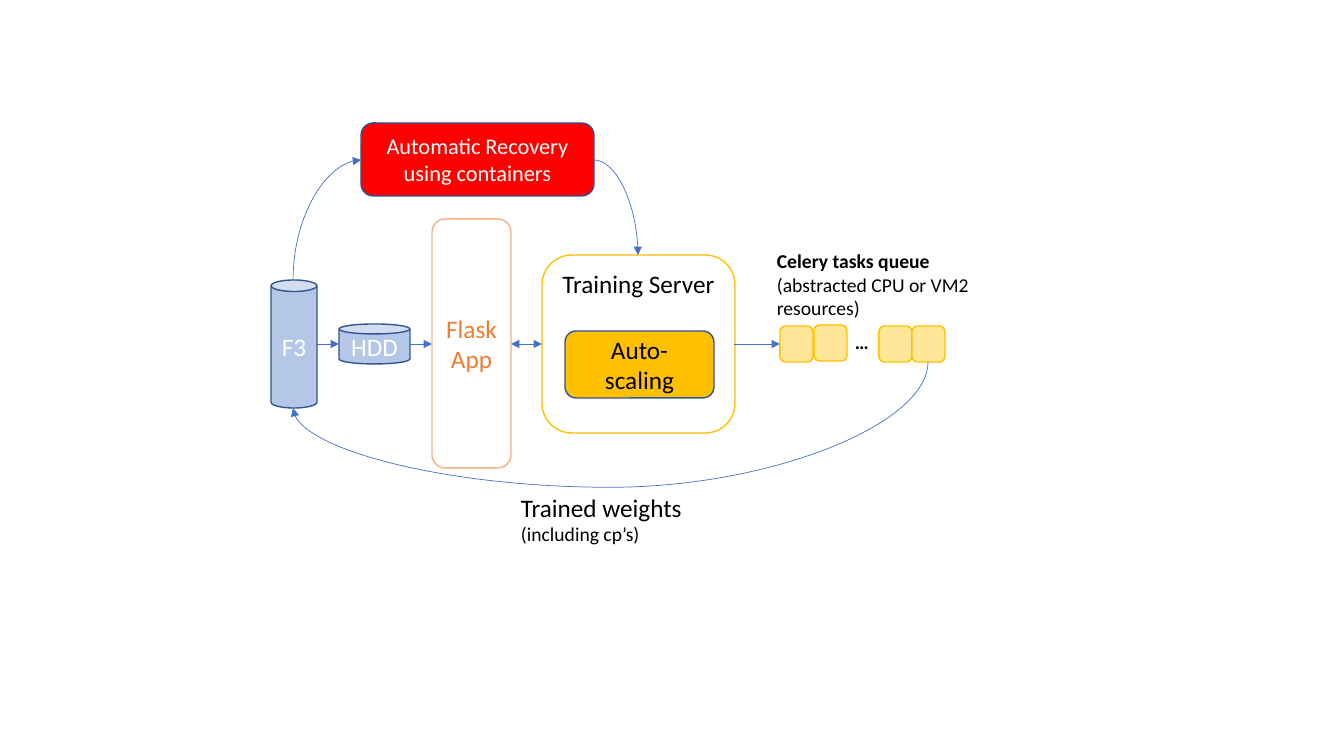
from dataclasses import dataclass

from lxml import etree
from pptx import Presentation
from pptx.dml.color import RGBColor
from pptx.enum.shapes import MSO_CONNECTOR, MSO_SHAPE
from pptx.enum.text import MSO_ANCHOR, PP_ALIGN
from pptx.oxml.ns import qn
from pptx.util import Pt

ROUND, CAN = MSO_SHAPE.ROUNDED_RECTANGLE, MSO_SHAPE.CAN
LINE, CURVE = MSO_CONNECTOR.STRAIGHT, MSO_CONNECTOR.CURVE
TOP, MID = MSO_ANCHOR.TOP, MSO_ANCHOR.MIDDLE
LEFT, CENTER = PP_ALIGN.LEFT, PP_ALIGN.CENTER

FONT = "Calibri"
WHITE, BLACK, RED = "FFFFFF", "000000", "FF0000"
GOLD, CREAM, ORANGE, PEACH = "FFC000", "FFE699", "ED7D31", "F4B183"
BLUE, NAVY, PALE = "4472C4", "325491", "B4C7E7"
AXIS = 344  # height of the main flow


@dataclass
class Box:
    at: tuple[int, int, int, int]
    fill: str
    edge: str
    text: str = ""
    ink: str = WHITE
    size: int = 18
    kind: int = ROUND
    anchor: int = MID


@dataclass
class Arrow:
    start: tuple[int, int]
    end: tuple[int, int]
    both: bool = False
    bend: str = ""  # preset name of a curve
    turn: bool = False  # leaves its start vertically
    adj: int = 0


def emu(px: float) -> int:
    return round(px * 914400 / 100.8)


def rgb(code: str) -> RGBColor:
    return RGBColor.from_string(code)


def write(para, text: str, size: int = 14, ink: str = BLACK,
          bold: bool = False, align: int = LEFT) -> None:
    para.alignment = align
    run = para.add_run()
    run.text = text
    font = run.font
    font.name, font.size, font.bold = FONT, Pt(size), bold
    font.color.rgb = rgb(ink)


def draw_box(box: Box) -> None:
    shape = shapes.add_shape(box.kind, *map(emu, box.at))
    shape.shadow.inherit = False
    shape.fill.solid()
    shape.fill.fore_color.rgb = rgb(box.fill)
    shape.line.color.rgb = rgb(box.edge)
    shape.line.width = Pt(1)
    if box.text:
        frame = shape.text_frame
        frame.word_wrap, frame.vertical_anchor = True, box.anchor
        write(frame.paragraphs[0], box.text, box.size, box.ink, align=CENTER)


def add_label(x: int, y: int, w: int, h: int):
    frame = shapes.add_textbox(*map(emu, (x, y, w, h))).text_frame
    frame.word_wrap = True
    return frame


def draw_arrow(arrow: Arrow) -> None:
    (x1, y1), (x2, y2) = arrow.start, arrow.end
    if arrow.turn:
        # Ends before a quarter turn clockwise about the middle
        mx, my = (x1 + x2) / 2, (y1 + y2) / 2
        dx, dy = (y2 - y1) / 2, (x1 - x2) / 2
        x1, y1, x2, y2 = mx - dx, my - dy, mx + dx, my + dy
    kind = CURVE if arrow.bend else LINE
    link = shapes.add_connector(kind, *map(emu, (x1, y1, x2, y2)))
    link.line.color.rgb = rgb(BLUE)
    link.line.width = Pt(0.5)
    props = link._element.spPr
    if arrow.turn:
        props.find(qn("a:xfrm")).set("rot", "5400000")
    if arrow.bend:
        geom = props.find(qn("a:prstGeom"))
        geom.set("prst", arrow.bend)
        if arrow.adj:
            guide = etree.SubElement(geom.find(qn("a:avLst")), qn("a:gd"))
            guide.set("name", "adj1")
            guide.set("fmla", f"val {arrow.adj}")
    stroke = props.find(qn("a:ln"))
    for tip in ("headEnd", "tailEnd") if arrow.both else ("tailEnd",):
        etree.SubElement(stroke, qn(f"a:{tip}")).set("type", "triangle")
    etree.SubElement(props, qn("a:effectLst"))


deck = Presentation()
deck.slide_width, deck.slide_height = emu(1344), emu(756)
shapes = deck.slides.add_slide(deck.slide_layouts[6]).shapes

# Servers, stores and queued tasks
tasks = [(780, 326), (879, 326), (912, 326), (814, 325)]
boxes = [
    Box((432, 219, 79, 249), WHITE, PEACH, "Flask App", ORANGE),
    Box((542, 255, 193, 178), WHITE, GOLD, "Training Server", BLACK, anchor=TOP),
    *(Box((x, y, 33, 36), CREAM, GOLD) for x, y in tasks),
    Box((271, 280, 46, 128), PALE, NAVY, "F3", kind=CAN),
    Box((339, 324, 71, 40), PALE, NAVY, "HDD", kind=CAN),
    Box((361, 123, 233, 73), RED, NAVY,
        "Automatic Recovery using containers", size=16),
    Box((565, 331, 149, 67), GOLD, NAVY, "Auto-scaling", BLACK),
]
for box in boxes:
    draw_box(box)

# Flow arrows
arrows = [
    Arrow((317, AXIS), (339, AXIS)),
    Arrow((410, AXIS), (432, AXIS)),
    Arrow((542, AXIS), (511, AXIS), both=True),
    Arrow((734, AXIS), (780, AXIS)),
    Arrow((293, 280), (361, 160), bend="curvedConnector2", turn=True),
    Arrow((594, 160), (638, 255), bend="curvedConnector2"),
    Arrow((928, 362), (293, 408), bend="curvedConnector3", turn=True, adj=272400),
]
for arrow in arrows:
    draw_arrow(arrow)

# Labels
write(add_label(845, 325, 43, 34).paragraphs[0], "…", bold=True)

queue = add_label(767, 244, 232, 82).paragraphs[0]
write(queue, "Celery tasks queue ", bold=True)
write(queue, "(abstracted CPU or VM2 resources)")

weights = add_label(511, 487, 183, 65)
write(weights.paragraphs[0], "Trained weights", 18)
write(weights.add_paragraph(), "(including cp’s)")

deck.save("out.pptx")
